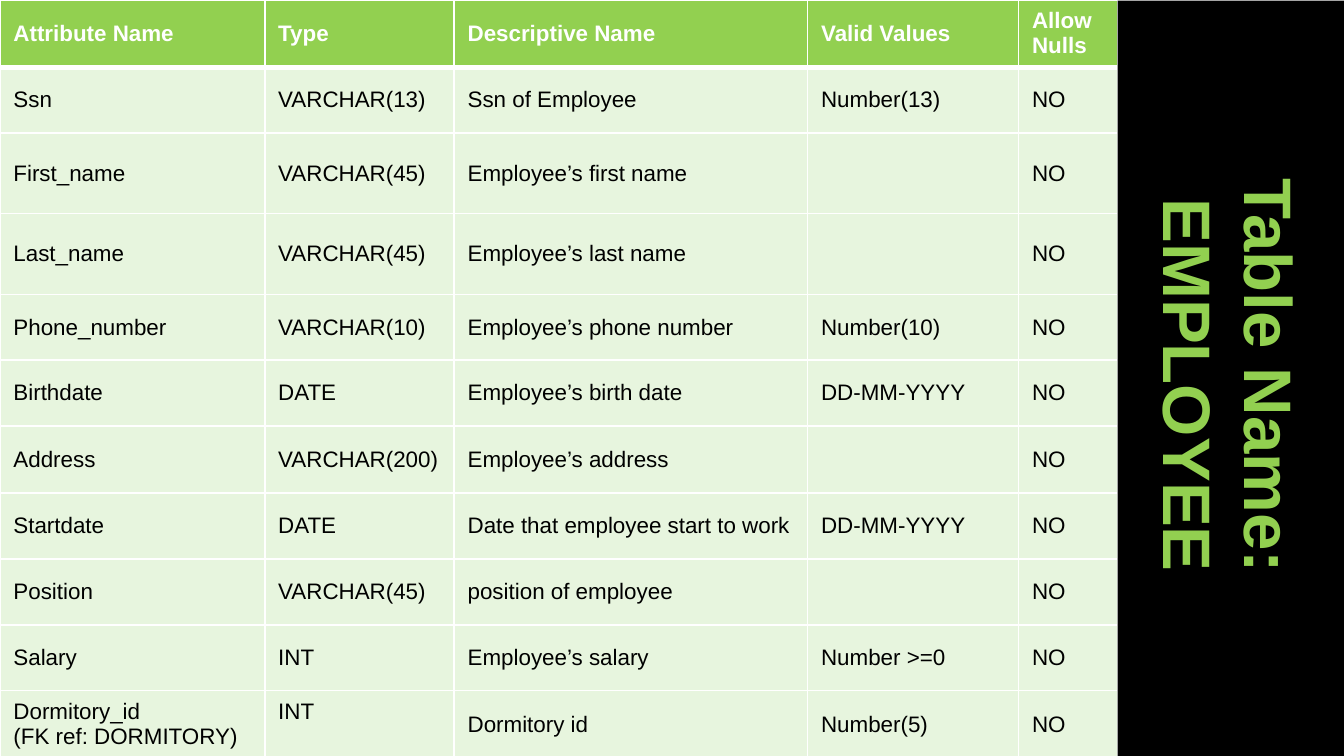
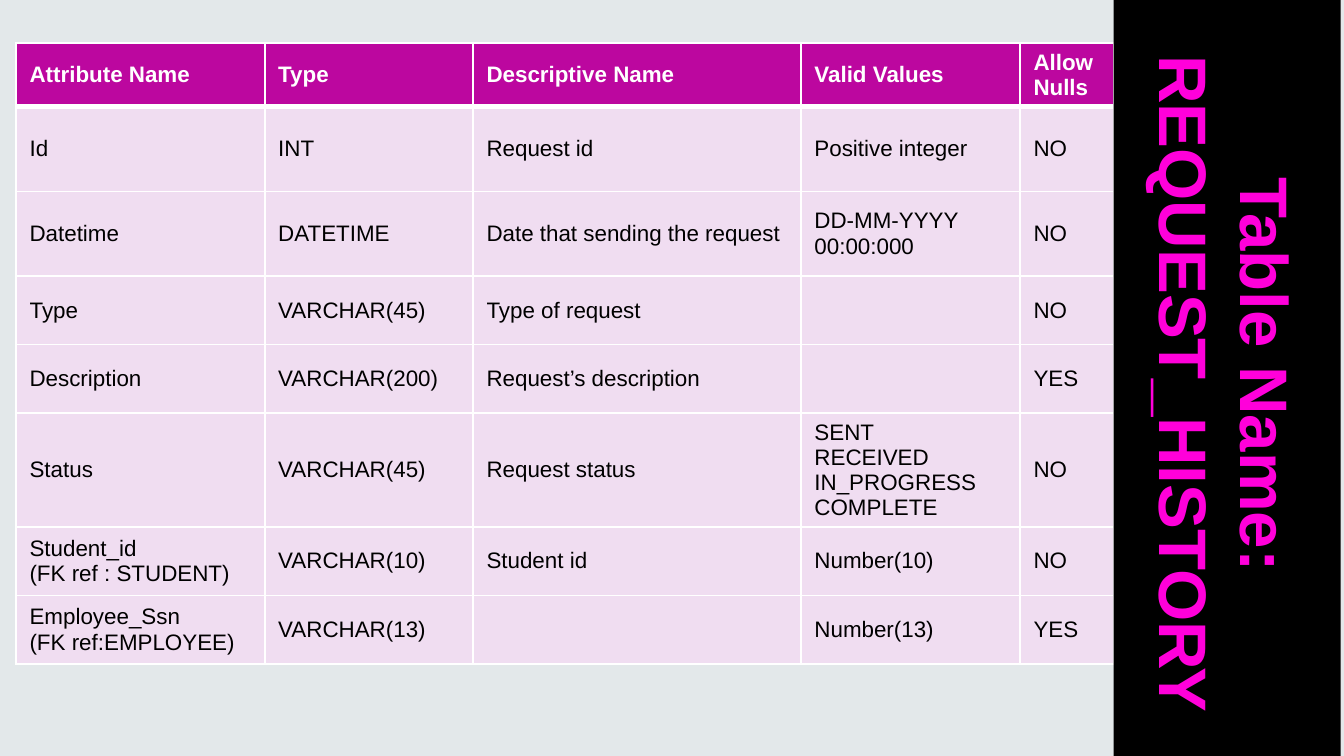
from lxml.etree import SubElement
from pptx import Presentation
from pptx.dml.color import RGBColor
from pptx.enum.text import MSO_ANCHOR as Anchor, MSO_AUTO_SIZE as AutoSize, PP_ALIGN as Align
from pptx.oxml.ns import qn
from pptx.util import Inches, Pt

PAGE_WIDTH = 10
PAGE_HEIGHT = PAGE_WIDTH * 9 / 16
BAND_LENGTH, BAND_DEPTH = 5.72, 1.69
FONT = "Arial"
WHITE, BLACK = "FFFFFF", "000000"
HEADINGS = ["Attribute Name", "Type", "Descriptive Name", "Valid Values", "Allow Nulls"]

EMPLOYEE = [
    ["Ssn", "VARCHAR(13)", "Ssn of Employee", "Number(13)", "NO"],
    ["First_name", "VARCHAR(45)", "Employee’s first name", "", "NO"],
    ["Last_name", "VARCHAR(45)", "Employee’s last name", "", "NO"],
    ["Phone_number", "VARCHAR(10)", "Employee’s phone number", "Number(10)", "NO"],
    ["Birthdate", "DATE", "Employee’s birth date", "DD-MM-YYYY", "NO"],
    ["Address", "VARCHAR(200)", "Employee’s address", "", "NO"],
    ["Startdate", "DATE", "Date that employee start to work", "DD-MM-YYYY", "NO"],
    ["Position", "VARCHAR(45)", "position of employee", "", "NO"],
    ["Salary", "INT", "Employee’s salary", "Number >=0", "NO"],
    ["Dormitory_id\n(FK ref: DORMITORY)", "INT", "Dormitory id", "Number(5)", "NO"],
]
REQUEST_HISTORY = [
    ["Id", "INT", "Request id", "Positive integer", "NO"],
    ["Datetime", "DATETIME", "Date that sending the request", "DD-MM-YYYY 00:00:000", "NO"],
    ["Type", "VARCHAR(45)", "Type of request", "", "NO"],
    ["Description", "VARCHAR(200)", "Request’s description", "", "YES"],
    ["Status", "VARCHAR(45)", "Request status", "SENT\nRECEIVED IN_PROGRESS\nCOMPLETE", "NO"],
    ["Student_id\n(FK ref : STUDENT)", "VARCHAR(10)", "Student id", "Number(10)", "NO"],
    ["Employee_Ssn\n(FK ref:EMPLOYEE)", "VARCHAR(13)", "", "Number(13)", "YES"],
]


def paint(fill, color):
    fill.solid()
    fill.fore_color.rgb = RGBColor.from_string(color)


def style_text(frame, size, color, bold, align=None):
    for para in frame.paragraphs:
        if align is not None:
            para.alignment = align
        for font in [para.font] + [span.font for span in para.runs]:
            font.name, font.size, font.bold = FONT, Pt(size), bold
            paint(font.fill, color)


def add_borders(cell, top, bottom):
    """Draw white cell edges; top and bottom are widths in points."""
    properties = cell._tc.get_or_add_tcPr()
    for side, width in (("L", 1), ("R", 1), ("T", top), ("B", bottom)):
        line = SubElement(properties, qn(f"a:ln{side}"), w=str(Pt(width)))
        SubElement(SubElement(line, qn("a:solidFill")), qn("a:srgbClr"), val=WHITE)


def set_opacity(cell, percent):
    color = cell._tc.tcPr.find(qn("a:solidFill")).find(qn("a:srgbClr"))
    SubElement(color, qn("a:alpha"), val=str(percent * 1000))


def fill_cell(cell, text, row, theme):
    is_header = row == 0
    cell.text = text
    cell.vertical_anchor = Anchor.MIDDLE
    style_text(cell.text_frame, 12, WHITE if is_header else BLACK, is_header)
    add_borders(cell, top=3 if row == 1 else 1, bottom=3 if is_header else 1)
    paint(cell.fill, theme["header"] if is_header else theme["body"])
    if not is_header:
        set_opacity(cell, theme["opacity"])


def add_attribute_table(page, left, top, widths, heights, records, theme):
    rows = [HEADINGS] + records
    table = page.shapes.add_table(
        len(rows), len(HEADINGS), Inches(left), Inches(top),
        Inches(sum(widths)), Inches(sum(heights))).table
    table.horz_banding = False
    for column, width in zip(table.columns, widths):
        column.width = Inches(width)
    for row, (texts, height) in enumerate(zip(rows, heights)):
        table.rows[row].height = Inches(height)
        for column, text in enumerate(texts):
            fill_cell(table.cell(row, column), text, row, theme)
    return table


def add_title_band(page, left, top, name, color):
    """Turn the title into a black band, rotated to run down the right edge."""
    band = page.shapes.title
    band.left, band.top = Inches(left), Inches(top)
    band.width, band.height = Inches(BAND_LENGTH), Inches(BAND_DEPTH)
    band.rotation = 90
    paint(band.fill, BLACK)
    frame = band.text_frame
    frame.text = f"Table Name: \n{name}"
    frame.auto_size, frame.word_wrap = AutoSize.NONE, True
    frame.vertical_anchor = Anchor.MIDDLE
    style_text(frame, 36, color, True, Align.CENTER)
    band.element.getparent().append(band.element)  # in front of the table


def add_page(deck, background):
    page = deck.slides.add_slide(deck.slide_layouts[5])
    paint(page.background.fill, background)
    return page


def add_employee_page(deck):
    page = add_page(deck, WHITE)
    theme = {"header": "92D050", "body": "C3E8AD", "opacity": 40}
    heights = [0.5, 0.49, 0.6, 0.6, 0.49, 0.49, 0.5, 0.49, 0.49, 0.49, 0.5]
    table = add_attribute_table(page, 0, 0, [1.97, 1.41, 2.63, 1.57, 0.74],
                                heights, EMPLOYEE, theme)
    # The last type lines up with the first line of its two-line neighbour.
    table.cell(len(EMPLOYEE), 1).margin_bottom = Inches(0.24)
    add_title_band(page, 6.3, 2.02, "EMPLOYEE", "92D050")


def add_request_page(deck):
    page = add_page(deck, "E3E8EA")
    theme = {"header": "BC079F", "body": "FED3F8", "opacity": 50}
    heights = [0.17] + [0.63] * 2 + [0.51] * 5
    add_attribute_table(page, 0.12, 0.32, [1.85, 1.55, 2.44, 1.63, 0.7],
                        heights, REQUEST_HISTORY, theme)
    add_title_band(page, 6.27, 2.01, "REQUEST_HISTORY", "FF00DA")


def main():
    deck = Presentation()
    deck.slide_width, deck.slide_height = Inches(PAGE_WIDTH), Inches(PAGE_HEIGHT)
    add_employee_page(deck)
    add_request_page(deck)
    deck.save("out.pptx")


if __name__ == "__main__":
    main()
